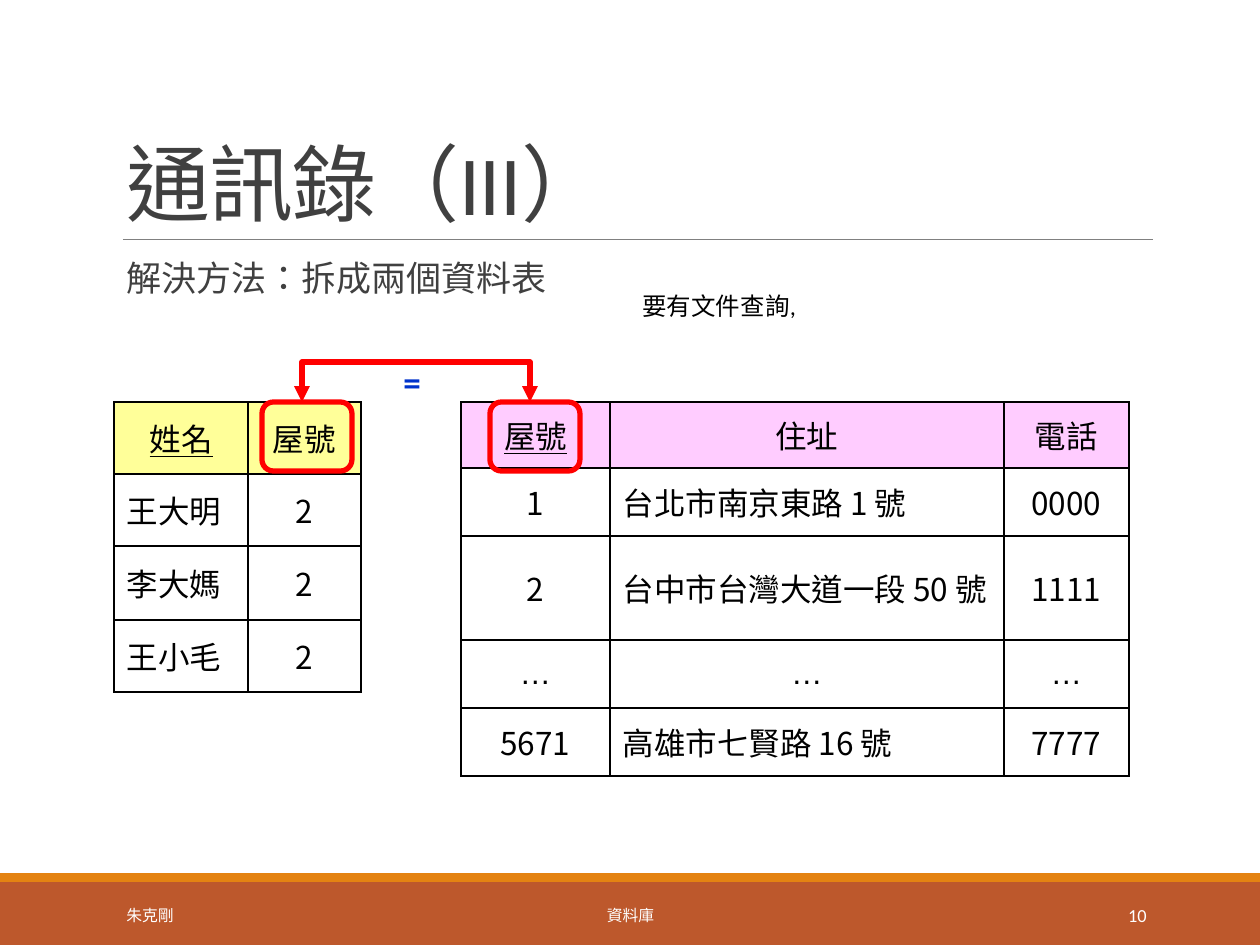
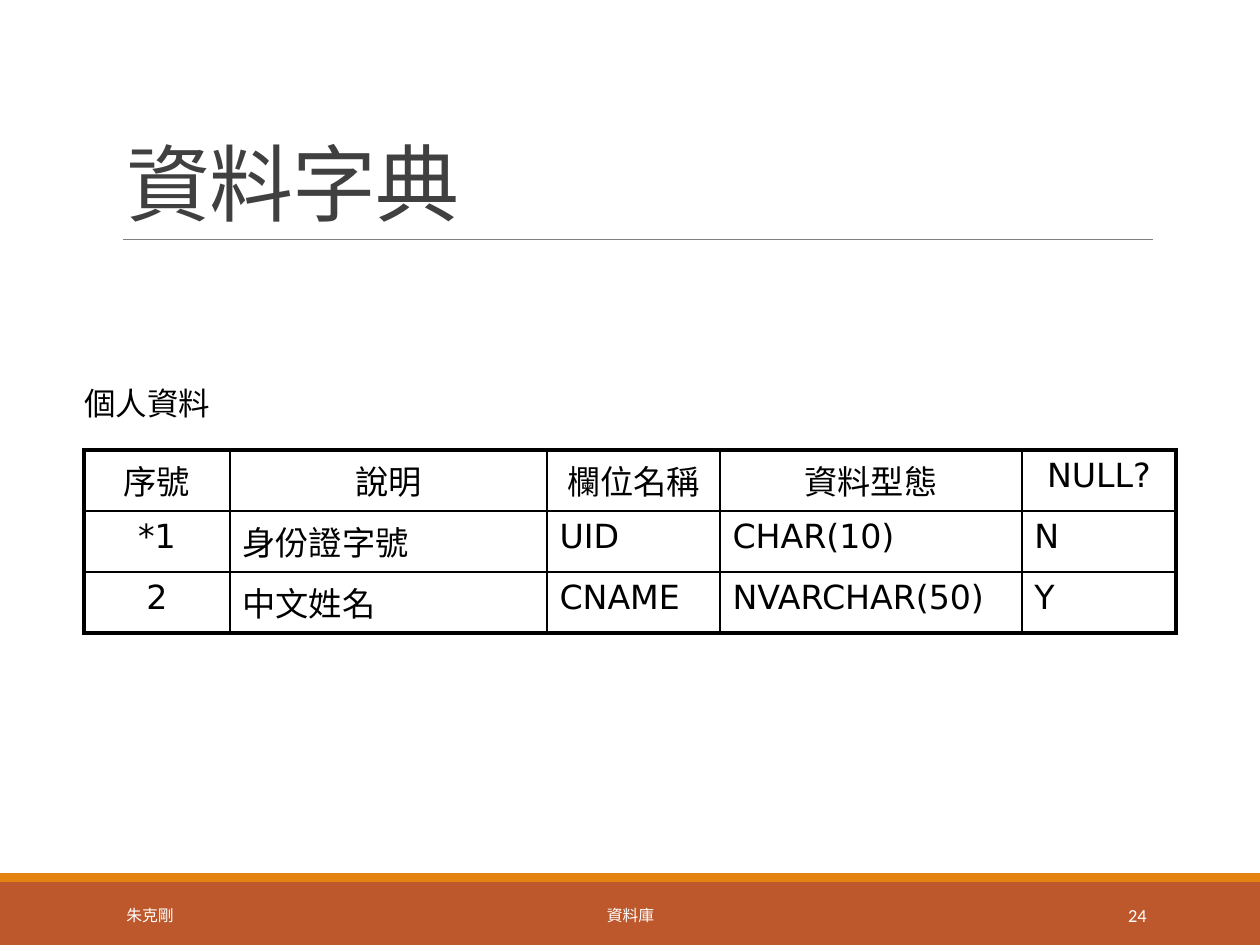
import dataclasses

import lxml.etree
import pptx
import pptx.dml.color
import pptx.enum.shapes
import pptx.enum.text
import pptx.oxml.ns
import pptx.util

SCALE = 914400 / 126
ALIGN = pptx.enum.text.PP_ALIGN
ANCHOR = pptx.enum.text.MSO_ANCHOR
SHAPE = pptx.enum.shapes.MSO_SHAPE
qn = pptx.oxml.ns.qn


@dataclasses.dataclass(frozen=True)
class Theme:
    band: str = "BD582C"
    stripe: str = "E48312"
    rule: str = "808080"
    heading: str = "404040"
    ink: str = "000000"
    paper: str = "FFFFFF"
    accent: str = "FF0000"
    equals: str = "0033CC"
    people: str = "FFFF99"
    houses: str = "FFCCFF"
    font: str = "Calibri"
    cjk_font: str = "Noto Sans CJK TC"
    dots_font: str = "Arial"
    dictionary_font: str = "DejaVu Sans"
    language: str = "zh-TW"
    title_size: float = 48
    body_size: float = 20
    table_size: float = 18
    dictionary_size: float = 19
    note_size: float = 14
    footer_size: float = 9
    number_size: float = 10.5


def emu(px):
    return pptx.util.Emu(round(px * SCALE))


def rgb(colour):
    return pptx.dml.color.RGBColor.from_string(colour)


class SlideBuilder:
    def __init__(self, theme):
        self.theme = theme
        self.deck = pptx.Presentation()
        self.deck.slide_width = emu(1260)
        self.deck.slide_height = emu(945)
        self.slide = None

    def new_slide(self, title, number):
        theme = self.theme
        self.slide = self.deck.slides.add_slide(self.deck.slide_layouts[6])
        self.shape(SHAPE.RECTANGLE, 0, 882, 1260, 63, fill=theme.band)
        self.shape(SHAPE.RECTANGLE, 0, 873, 1260, 9, fill=theme.stripe)
        self.rule(123, 1153, 239)
        para = self.text(title, 114, 39, 1040, 200, theme.title_size,
                         theme.heading, anchor=ANCHOR.BOTTOM)
        para.line_spacing = 0.85
        para.runs[0].font._element.set("spc", "-50")
        footers = [
            ("朱克剛", 114, 256, theme.footer_size, ALIGN.LEFT),
            ("資料庫", 381, 499, theme.footer_size, ALIGN.CENTER),
            (number, 1023, 136, theme.number_size, ALIGN.RIGHT),
        ]
        for words, left, width, size, align in footers:
            self.text(words, left, 890, width, 50, size, theme.paper,
                      align=align, anchor=ANCHOR.MIDDLE)

    def style(self, para, size, colour, font=None, bold=False, underline=False):
        font = font or self.theme.font
        east_asian = font if font == self.theme.dots_font else self.theme.cjk_font
        for span in para.runs:
            span.font.name = font
            span.font.size = pptx.util.Pt(size)
            span.font.color.rgb = rgb(colour)
            span.font.bold = bold
            span.font.underline = underline
            span.font._element.set("lang", self.theme.language)
            latin = span.font._element.find(qn("a:latin"))
            latin.addnext(latin.makeelement(qn("a:ea"), {"typeface": east_asian}))

    def text(self, words, left, top, width, height, size, colour,
             align=ALIGN.LEFT, anchor=ANCHOR.TOP, bold=False, wrap=True):
        box = self.slide.shapes.add_textbox(*map(emu, (left, top, width, height)))
        frame = box.text_frame
        frame.text = words
        frame.word_wrap = wrap
        frame.vertical_anchor = anchor
        para = frame.paragraphs[0]
        para.alignment = align
        self.style(para, size, colour, bold=bold)
        return para

    def shape(self, kind, left, top, width, height, fill=None):
        shape = self.slide.shapes.add_shape(
            kind, *map(emu, (left, top, width, height)))
        shape.shadow.inherit = False
        if fill:
            shape.fill.solid()
            shape.fill.fore_color.rgb = rgb(fill)
            shape.line.fill.background()
        else:
            self.outline(shape)
        return shape

    def outline(self, shape):
        shape.fill.background()
        shape.line.color.rgb = rgb(self.theme.accent)
        shape.line.width = pptx.util.Pt(3)

    def rule(self, left, right, top):
        line = self.slide.shapes.add_connector(
            pptx.enum.shapes.MSO_CONNECTOR.STRAIGHT,
            emu(left), emu(top), emu(right), emu(top))
        line.line.color.rgb = rgb(self.theme.rule)
        line.line.width = pptx.util.Pt(0.5)
        lxml.etree.SubElement(line._element.spPr, qn("a:effectLst"))

    def double_arrow(self, points):
        builder = self.slide.shapes.build_freeform(*points[0], scale=SCALE)
        builder.add_line_segments(points[1:], close=False)
        arrow = builder.convert_to_shape()
        arrow.shadow.inherit = False
        self.outline(arrow)
        for end in ("headEnd", "tailEnd"):
            lxml.etree.SubElement(arrow.line._ln, qn(f"a:{end}"), type="triangle")

    def border(self, cell, side, width):
        properties = cell._tc.get_or_add_tcPr()
        line = lxml.etree.SubElement(properties, qn(f"a:ln{side}"),
                                     w=str(pptx.util.Pt(width)))
        fill = lxml.etree.SubElement(line, qn("a:solidFill"))
        lxml.etree.SubElement(fill, qn("a:srgbClr"), val=self.theme.ink)

    def table(self, rows, left, top, widths, heights, size, font, centred,
              anchor=ANCHOR.MIDDLE, header_fill=None, key=None, frame_width=1):
        table = self.slide.shapes.add_table(
            len(rows), len(widths), emu(left), emu(top),
            emu(sum(widths)), emu(sum(heights))).table
        table.first_row = table.horz_banding = False
        for column, width in zip(table.columns, widths):
            column.width = emu(width)
        for row, height in zip(table.rows, heights):
            row.height = emu(height)
        last_row, last_column = len(rows) - 1, len(widths) - 1
        for r, row in enumerate(rows):
            for c, words in enumerate(row):
                cell = table.cell(r, c)
                outer = {"L": c == 0, "R": c == last_column,
                         "T": r == 0, "B": r == last_row}
                for side, on_frame in outer.items():
                    self.border(cell, side, frame_width if on_frame else 1)
                if r == 0 and header_fill:
                    cell.fill.solid()
                    cell.fill.fore_color.rgb = rgb(header_fill)
                else:
                    cell.fill.background()
                cell.vertical_anchor = anchor
                cell.text_frame.text = words
                para = cell.text_frame.paragraphs[0]
                middle = r == 0 or c in centred or words == "…"
                para.alignment = ALIGN.CENTER if middle else ALIGN.LEFT
                self.style(para, size, self.theme.ink,
                           self.theme.dots_font if words == "…" else font,
                           underline=r == 0 and c == key)


def address_book(builder):
    theme = builder.theme
    builder.new_slide("通訊錄（III）", "10")
    body = builder.text("解決方法：拆成兩個資料表", 114, 255, 1040, 554,
                        theme.body_size, theme.heading)
    body.line_spacing = 0.9
    people = [("姓名", "屋號"), ("王大明", "2"), ("李大媽", "2"), ("王小毛", "2")]
    builder.table(people, 114, 402, (134, 113), (72, 72, 74, 72),
                  theme.table_size, theme.cjk_font, centred={1},
                  header_fill=theme.people, key=0)
    houses = [
        ("屋號", "住址", "電話"),
        ("1", "台北市南京東路 1 號", "0000"),
        ("2", "台中市台灣大道一段 50 號", "1111"),
        ("…", "…", "…"),
        ("5671", "高雄市七賢路 16 號", "7777"),
    ]
    builder.table(houses, 461, 402, (149, 394, 125), (66, 68, 104, 68, 68),
                  theme.table_size, theme.cjk_font, centred={0, 2},
                  header_fill=theme.houses, key=0)
    for left in (262, 490):
        builder.shape(SHAPE.ROUNDED_RECTANGLE, left, 402, 90, 69)
    builder.double_arrow([(302, 402), (302, 362), (530, 362), (530, 402)])
    builder.text("=", 391, 354, 55, 54, theme.body_size, theme.equals,
                 bold=True, wrap=False)
    builder.text("要有文件查詢,", 630, 285, 363, 43, theme.note_size, theme.ink)


def data_dictionary(builder):
    theme = builder.theme
    builder.new_slide("資料字典", "24")
    fields = [
        ("序號", "說明", "欄位名稱", "資料型態", "NULL?"),
        ("*1", "身份證字號", "UID", "CHAR(10)", "N"),
        ("2", "中文姓名", "CNAME", "NVARCHAR(50)", "Y"),
    ]
    builder.table(fields, 84, 450, (146, 317, 173, 302, 154), [61] * 3,
                  theme.dictionary_size, theme.dictionary_font, centred={0},
                  anchor=ANCHOR.TOP, frame_width=2.25)
    builder.text("個人資料", 72, 378, 152, 50, theme.table_size, theme.ink,
                 wrap=False)


def main():
    builder = SlideBuilder(Theme())
    address_book(builder)
    data_dictionary(builder)
    builder.deck.save("out.pptx")


if __name__ == "__main__":
    main()
